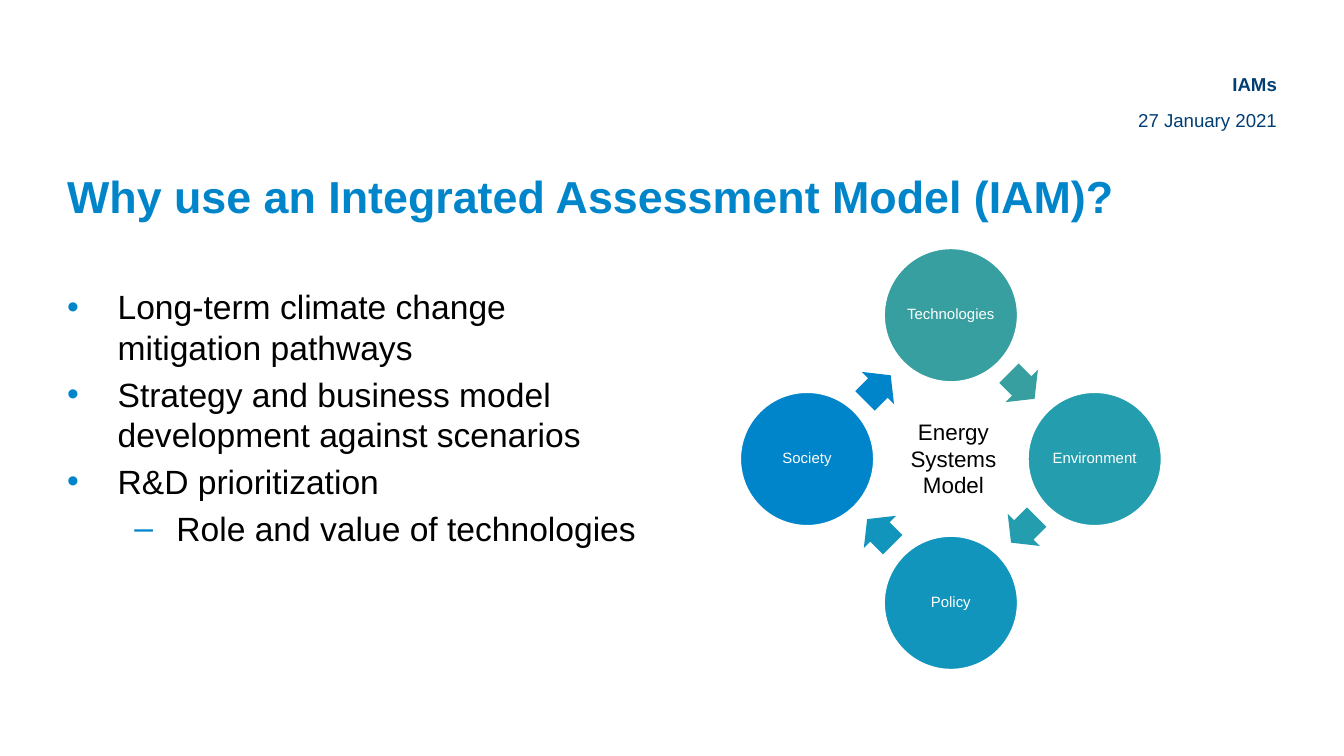
from lxml.etree import SubElement
from pptx import Presentation
from pptx.dml.color import RGBColor
from pptx.enum.shapes import MSO_SHAPE
from pptx.enum.text import MSO_ANCHOR, MSO_AUTO_SIZE, PP_ALIGN
from pptx.oxml.ns import qn
from pptx.util import Pt

COLORS = {
    "title": "0085CA", "header": "003E74", "text": "000000", "white": "FFFFFF",
    "technologies": "379F9F", "environment": "249EAE",
    "policy": "1295BC", "society": "0085CA",
}
FONT = "Arial"
REASONS = [
    (0, "Long-term climate change mitigation pathways"),
    (0, "Strategy and business model development against scenarios"),
    (0, "R&D prioritization"),
    (1, "Role and value of technologies"),
]
BULLETS = [("•", 27, -27), ("–", 58.5, -22.5)]  # character, margin, indent
# Clockwise from the top: label, direction from the centre
CYCLE = [
    ("Technologies", 0, -1), ("Environment", 1, 0),
    ("Policy", 0, 1), ("Society", -1, 0),
]


def rgb(name):
    return RGBColor.from_string(COLORS[name])


def place(shape, box):
    shape.left, shape.top, shape.width, shape.height = (Pt(v) for v in box)


def set_frame(frame, insets, anchor=MSO_ANCHOR.TOP):
    frame.word_wrap = True
    frame.auto_size = MSO_AUTO_SIZE.NONE
    frame.vertical_anchor = anchor
    (frame.margin_left, frame.margin_top,
     frame.margin_right, frame.margin_bottom) = (Pt(v) for v in insets)


def format_paragraph(paragraph, size, color, align=PP_ALIGN.LEFT, bold=False):
    paragraph.alignment = align
    for run in paragraph.runs:
        run.font.name = FONT
        run.font.size = Pt(size)
        run.font.bold = bold
        run.font.color.rgb = rgb(color)


def set_bullet(paragraph, character, margin, indent):
    properties = paragraph._p.get_or_add_pPr()
    properties.set("marL", str(Pt(margin)))
    properties.set("indent", str(Pt(indent)))
    color = SubElement(properties, qn("a:buClr"))
    SubElement(color, qn("a:srgbClr"), val=COLORS["title"])
    SubElement(properties, qn("a:buFont"), typeface=FONT)
    SubElement(properties, qn("a:buChar"), char=character)


def add_title(slide, box):
    title = slide.shapes.title
    place(title, box)
    set_frame(title.text_frame, (0, 3.6, 0, 0), MSO_ANCHOR.MIDDLE)
    title.text_frame.text = "Why use an Integrated Assessment Model (IAM)?"
    format_paragraph(title.text_frame.paragraphs[0], 24, "title", bold=True)


def add_reasons(slide, box):
    body = slide.placeholders[1]
    place(body, box)
    frame = body.text_frame
    set_frame(frame, (0, 0, 0, 0))
    frame.text = "\n".join(text for _, text in REASONS)
    for paragraph, (level, _) in zip(frame.paragraphs, REASONS):
        paragraph.level = level
        paragraph.space_before = Pt(3.6)
        format_paragraph(paragraph, 18, "text")
        set_bullet(paragraph, *BULLETS[level])


def add_header_line(slide, box, text, bold=False):
    line = slide.shapes.add_textbox(*(Pt(v) for v in box))
    set_frame(line.text_frame, (0, 0, 0, 0))
    line.text_frame.text = text
    paragraph = line.text_frame.paragraphs[0]
    paragraph.space_before = Pt(2)
    format_paragraph(paragraph, 10, "header", PP_ALIGN.RIGHT, bold)


def add_centered(slide, kind, center_x, center_y, width, height, fill):
    shape = slide.shapes.add_shape(
        kind, Pt(center_x - width / 2), Pt(center_y - height / 2),
        Pt(width), Pt(height))
    shape.shadow.inherit = False
    shape.fill.solid()
    shape.fill.fore_color.rgb = rgb(fill)
    return shape


def add_cycle(slide, box):
    """Ring of four circles, each followed by an arrow to the next one."""
    left, top, width, height = box
    center_x, center_y = left + width / 2, top + height / 2
    diameter = 72.7
    radius = (width - diameter) / 2
    setback = 0.54
    for i, (label, dx, dy) in enumerate(CYCLE):
        color = label.lower()
        node = add_centered(slide, MSO_SHAPE.OVAL, center_x + radius * dx,
                            center_y + radius * dy, diameter, diameter, color)
        node.line.color.rgb = rgb("white")
        node.line.width = Pt(2)
        set_frame(node.text_frame, (0.72,) * 4, MSO_ANCHOR.MIDDLE)
        node.text_frame.text = label
        paragraph = node.text_frame.paragraphs[0]
        paragraph.line_spacing = 0.9
        format_paragraph(paragraph, 8, "white", PP_ALIGN.CENTER)

        _, next_dx, next_dy = CYCLE[(i + 1) % len(CYCLE)]
        arrow = add_centered(
            slide, MSO_SHAPE.RIGHT_ARROW,
            center_x + radius * (dx + next_dx) / 2 - setback * (next_dx - dx),
            center_y + radius * (dy + next_dy) / 2 - setback * (next_dy - dy),
            19.4, 24.5, color)
        arrow.adjustments[0] = 0.6
        arrow.adjustments[1] = 0.5
        arrow.rotation = 45 + 90 * i
        arrow.line.fill.background()


def add_cycle_center(slide, box):
    center = slide.shapes.add_textbox(*(Pt(v) for v in box))
    set_frame(center.text_frame, (7.2, 3.6, 7.2, 3.6))
    center.text_frame.text = "Energy Systems Model"
    format_paragraph(center.text_frame.paragraphs[0], 12, "text",
                     PP_ALIGN.CENTER)


def main():
    presentation = Presentation()
    presentation.slide_width, presentation.slide_height = Pt(720), Pt(405)
    slide = presentation.slides.add_slide(presentation.slide_layouts[1])
    add_reasons(slide, (36, 153.4, 311, 206))
    add_title(slide, (36, 87.8, 648, 30.2))
    add_header_line(slide, (516, 38.9, 168, 18.7), "IAMs", bold=True)
    add_header_line(slide, (570, 58.3, 114, 15.1), "27 January 2021")
    add_cycle(slide, (396, 132.5, 226.8, 226.8))
    add_cycle_center(slide, (479.5, 220.3, 62.6, 51.1))
    presentation.save("out.pptx")


if __name__ == "__main__":
    main()
